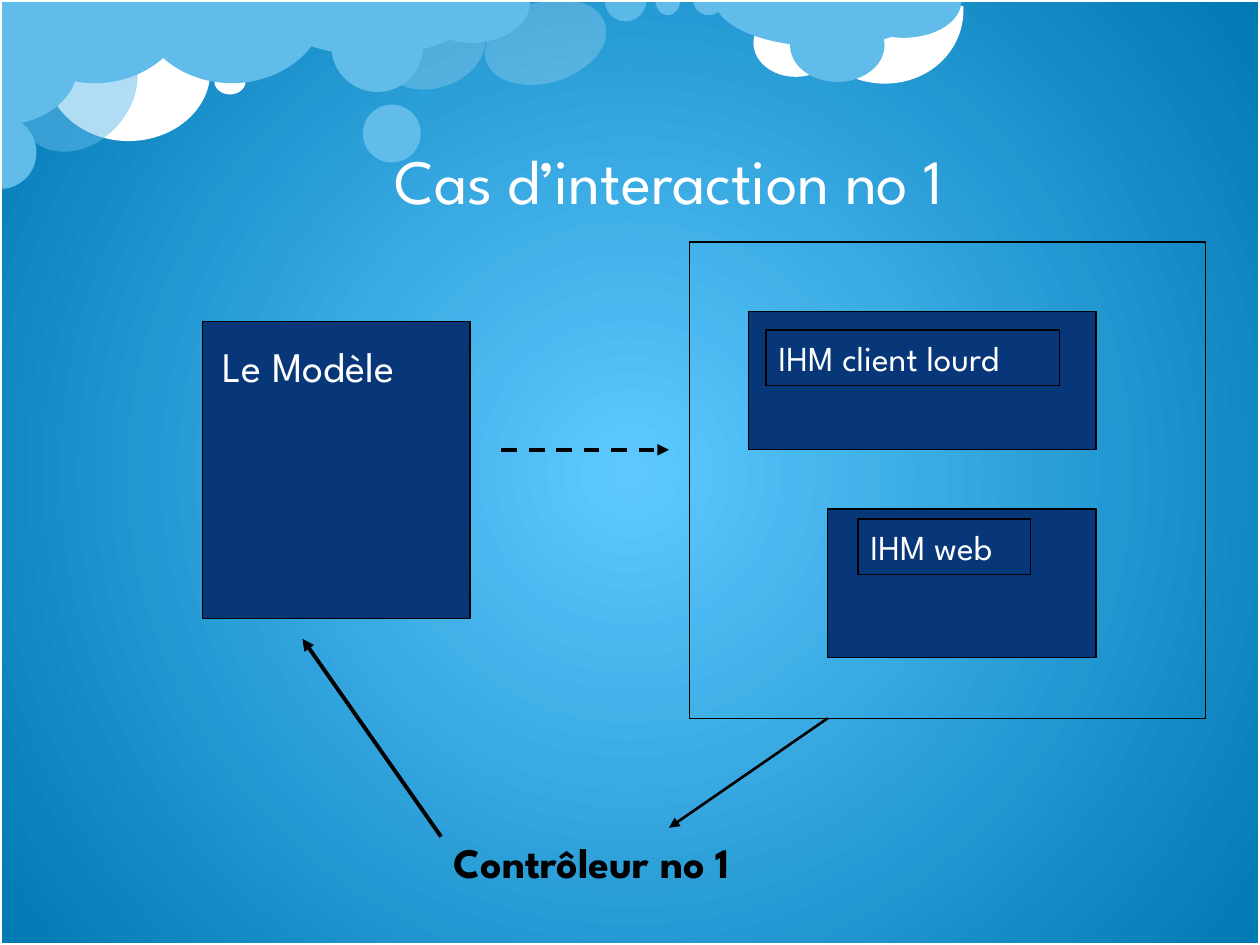
import dataclasses
import typing

import pptx
import pptx.dml.color
import pptx.enum.dml
import pptx.enum.shapes
import pptx.enum.text
import pptx.oxml
import pptx.oxml.ns
import pptx.util
from pptx.util import Inches

SHAPE = pptx.enum.shapes.MSO_SHAPE
ALIGN = pptx.enum.text.PP_ALIGN
ANCHOR = pptx.enum.text.MSO_ANCHOR
AUTO_SIZE = pptx.enum.text.MSO_AUTO_SIZE
DASH = pptx.enum.dml.MSO_LINE
Box = tuple[float, float, float, float]
Point = tuple[float, float]


@dataclasses.dataclass(frozen=True)
class Theme:
    font: str = "League Spartan"
    white: str = "FFFFFF"
    black: str = "000000"
    cloud: str = "62BCE9"
    pale: str = "8FD9FB"
    navy: str = "073779"
    glow: str = "5DC9FF"
    deep: str = "0079B5"
    title: float = 36
    heading: float = 24
    label: float = 20
    thin: float = 0.75


T = Theme()
HALF = (0, 108)  # pie angles: the lower half of an ellipse


class Puff(typing.NamedTuple):
    box: Box
    color: str = T.cloud
    kind: SHAPE = SHAPE.OVAL
    angles: tuple[float, ...] = ()
    rotation: float = 0
    opacity: int = 100


class Arrow(typing.NamedTuple):
    start: Point
    end: Point
    width: float
    dash: DASH | None = None


def half(box: Box, color: str = T.cloud, **format) -> Puff:
    return Puff(box, color, SHAPE.PIE, HALF, **format)


# Clouds, from back to front
PUFFS = [
    Puff((3.11, -0.05, 0.64, 0.86), T.white, rotation=72.8, opacity=20),
    Puff((0.37, 0.01, 1.3, 1.11), T.white),
    Puff((6.39, -0.6, 1.21, 1.31), T.white, SHAPE.ARC, (151.8, 44.48), 106.5),
    Puff((5.98, 0.07, 0.67, 0.54), T.white),
    half((-0.01, -0.66, 1.52, 1.32)),
    half((2.08, -0.44, 1.75, 0.88)),
    Puff((2.88, 0.83, 0.46, 0.46)),
    Puff((0.19, 0.18, 0.85, 1.07), rotation=41.8, opacity=50),
    half((-0.29, 0.92, 0.58, 0.58), rotation=270),
    Puff((1.7, 0.54, 0.25, 0.21), T.white),
    half((1.08, -0.66, 1.52, 1.32)),
    half((5.67, -0.38, 1.75, 0.75)),
    Puff((6.27, 0.07, 0.75, 0.58)),
    half((6.71, -0.28, 0.92, 0.58)),
    Puff((4.01, -0.16, 0.64, 0.99), T.white, rotation=72.8, opacity=20),
    half((4.8, -0.16, 0.33, 0.33), T.pale, opacity=50),
    half((5.2, -0.13, 0.2, 0.25)),
    half((5.5, -0.13, 0.25, 0.25)),
    Puff((2.63, 0, 0.73, 0.73)),
    half((3.29, -0.33, 0.92, 0.67)),
    half((-0.47, -0.09, 0.93, 1.24), rotation=270),
]

WEB_PANEL = (6.57, 4.04, 2.13, 1.18)
CLIENT_PANEL = (5.94, 2.47, 2.76, 1.1)
MODEL_PANEL = (1.61, 2.55, 2.12, 2.36)
VIEW_FRAME = (5.47, 1.92, 4.1, 3.78)

ARROWS = [
    Arrow((6.57, 5.7), (5.31, 6.57), 1.5),
    Arrow((3.5, 6.64), (2.4, 5.07), 2.25),
    Arrow((3.98, 3.57), (5.31, 3.57), 2.25, DASH.DASH),
]


def rgb(color: str) -> pptx.dml.color.RGBColor:
    return pptx.dml.color.RGBColor.from_string(color)


def add_xml(parent, tag: str, **attributes: str):
    child = pptx.oxml.ns.qn(tag)
    element = parent.makeelement(child, attributes)
    parent.append(element)
    return element


def set_line(line, color: str, width: float) -> None:
    line.color.rgb = rgb(color)
    line.width = pptx.util.Pt(width)


def add_shape(s, kind: SHAPE, box: Box, fill: str | None = None,
              line: str | None = None, width: float = T.thin):
    sp = s.shapes.add_shape(kind, *map(Inches, box))
    sp.shadow.inherit = False
    if fill:
        sp.fill.solid()
        sp.fill.fore_color.rgb = rgb(fill)
    else:
        sp.fill.background()
    if line:
        set_line(sp.line, line, width)
    else:
        sp.line.fill.background()
    return sp


def add_puff(s, puff: Puff) -> None:
    sp = add_shape(s, puff.kind, puff.box, puff.color)
    sp.rotation = puff.rotation
    for i, angle in enumerate(puff.angles):
        sp.adjustments[i] = angle
    if puff.opacity < 100:
        color = sp.element.spPr.find(".//" + pptx.oxml.ns.qn("a:srgbClr"))
        add_xml(color, "a:alpha", val=str(puff.opacity * 1000))


def add_text(s, text: str, box: Box, *, size: float, color: str = T.white,
             bold: bool = False, wrap: bool = False, grow: bool = True,
             align: ALIGN = ALIGN.LEFT, anchor: ANCHOR = ANCHOR.TOP,
             spacing: float | None = None, line: str | None = None) -> None:
    sp = s.shapes.add_textbox(*map(Inches, box))
    if line:
        set_line(sp.line, line, T.thin)
    tf = sp.text_frame
    tf.word_wrap = wrap
    tf.auto_size = AUTO_SIZE.SHAPE_TO_FIT_TEXT if grow else AUTO_SIZE.NONE
    tf.vertical_anchor = anchor
    p = tf.paragraphs[0]
    p.alignment = align
    if spacing:
        p.line_spacing = pptx.util.Pt(spacing)
    r = p.add_run()
    r.text = text
    r.font.name = T.font
    r.font.size = pptx.util.Pt(size)
    r.font.bold = bold
    r.font.color.rgb = rgb(color)


def add_arrow(s, arrow: Arrow) -> None:
    cx = s.shapes.add_connector(pptx.enum.shapes.MSO_CONNECTOR.STRAIGHT,
                                *map(Inches, arrow.start + arrow.end))
    set_line(cx.line, T.black, arrow.width)
    if arrow.dash:
        cx.line.dash_style = arrow.dash
    add_xml(cx.line._get_or_add_ln(), "a:tailEnd", type="triangle")
    add_xml(cx.element.spPr, "a:effectLst")


def set_background(s) -> None:
    fill = s.background.fill
    fill.gradient()
    for stop, color in zip(fill.gradient_stops, (T.glow, T.deep)):
        stop.color.rgb = rgb(color)
    # Turn the linear gradient into a radial one
    linear = s.element.find(".//" + pptx.oxml.ns.qn("a:lin"))
    gradient = linear.getparent()
    gradient.remove(linear)
    radial = add_xml(gradient, "a:path", path="circle")
    add_xml(radial, "a:fillToRect", **dict.fromkeys("ltrb", "50000"))


def main() -> None:
    prs = pptx.Presentation()
    prs.slide_width, prs.slide_height = Inches(10), Inches(7.5)
    s = prs.slides.add_slide(prs.slide_layouts[6])

    # Sky and border
    set_background(s)
    for puff in PUFFS:
        add_puff(s, puff)
    add_shape(s, SHAPE.RECTANGLE, (0, 0, 10, 7.5), line=T.white, width=2)

    # Panels
    for panel in (WEB_PANEL, CLIENT_PANEL, MODEL_PANEL):
        add_shape(s, SHAPE.RECTANGLE, panel, T.navy, T.black)

    # Title and labels
    add_text(s, "Cas d’interaction no 1", (0.81, 0.71, 9, 1.25), size=T.title,
             wrap=True, grow=False, align=ALIGN.CENTER, anchor=ANCHOR.MIDDLE,
             spacing=56)
    add_text(s, "Le Modèle", (1.67, 2.65, 1.76, 0.5), size=T.heading)
    add_text(s, "IHM client lourd", (6.08, 2.62, 2.33, 0.44), size=T.label,
             line=T.black)
    add_text(s, "IHM web", (6.81, 4.12, 1.37, 0.44), size=T.label, line=T.black)
    add_text(s, "Contrôleur no 1", (3.5, 6.59, 3.07, 0.5), size=T.heading,
             color=T.black, bold=True, wrap=True)

    # View frame and interactions
    add_shape(s, SHAPE.RECTANGLE, VIEW_FRAME, line=T.black)
    for arrow in ARROWS:
        add_arrow(s, arrow)

    prs.save("out.pptx")


if __name__ == "__main__":
    main()
